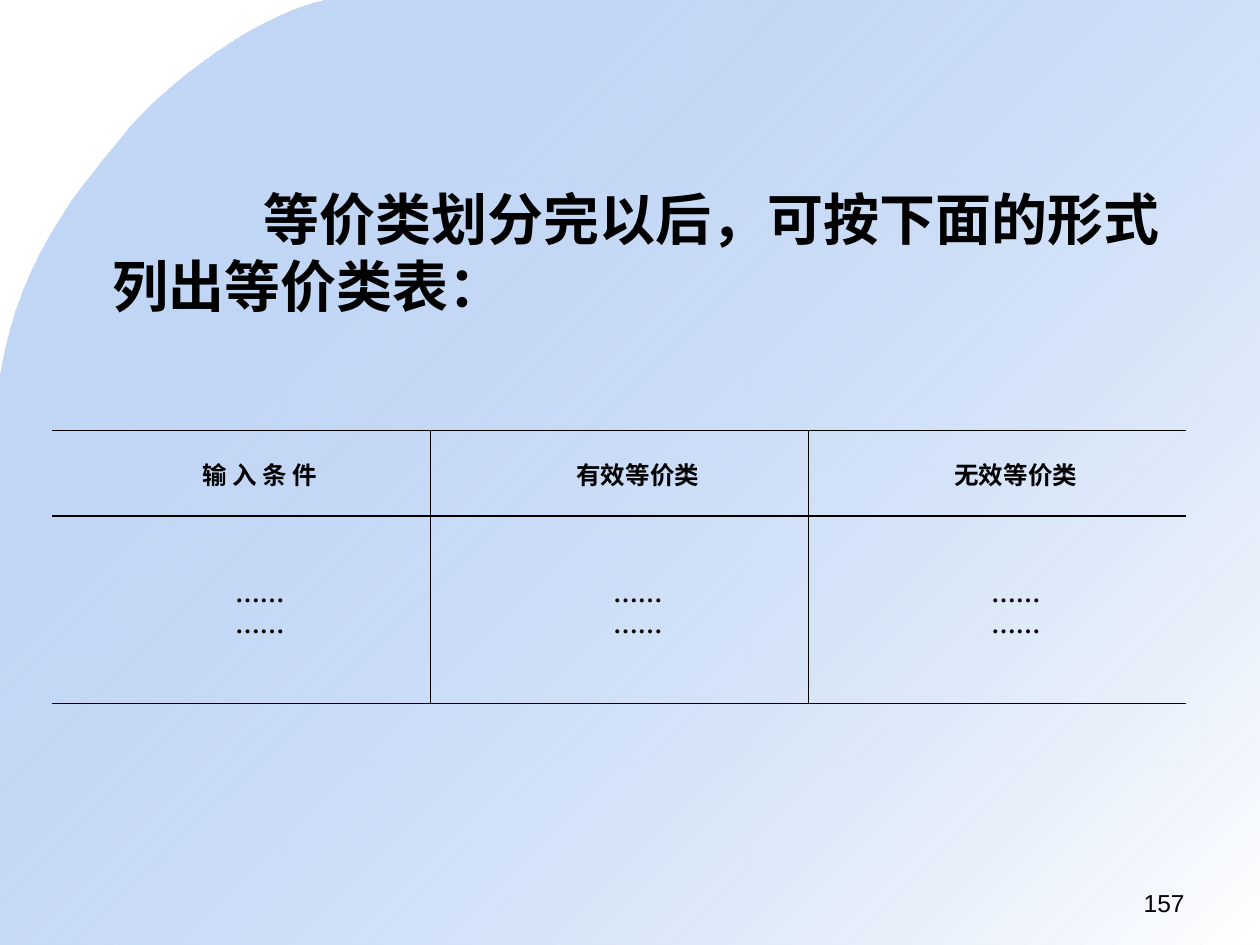
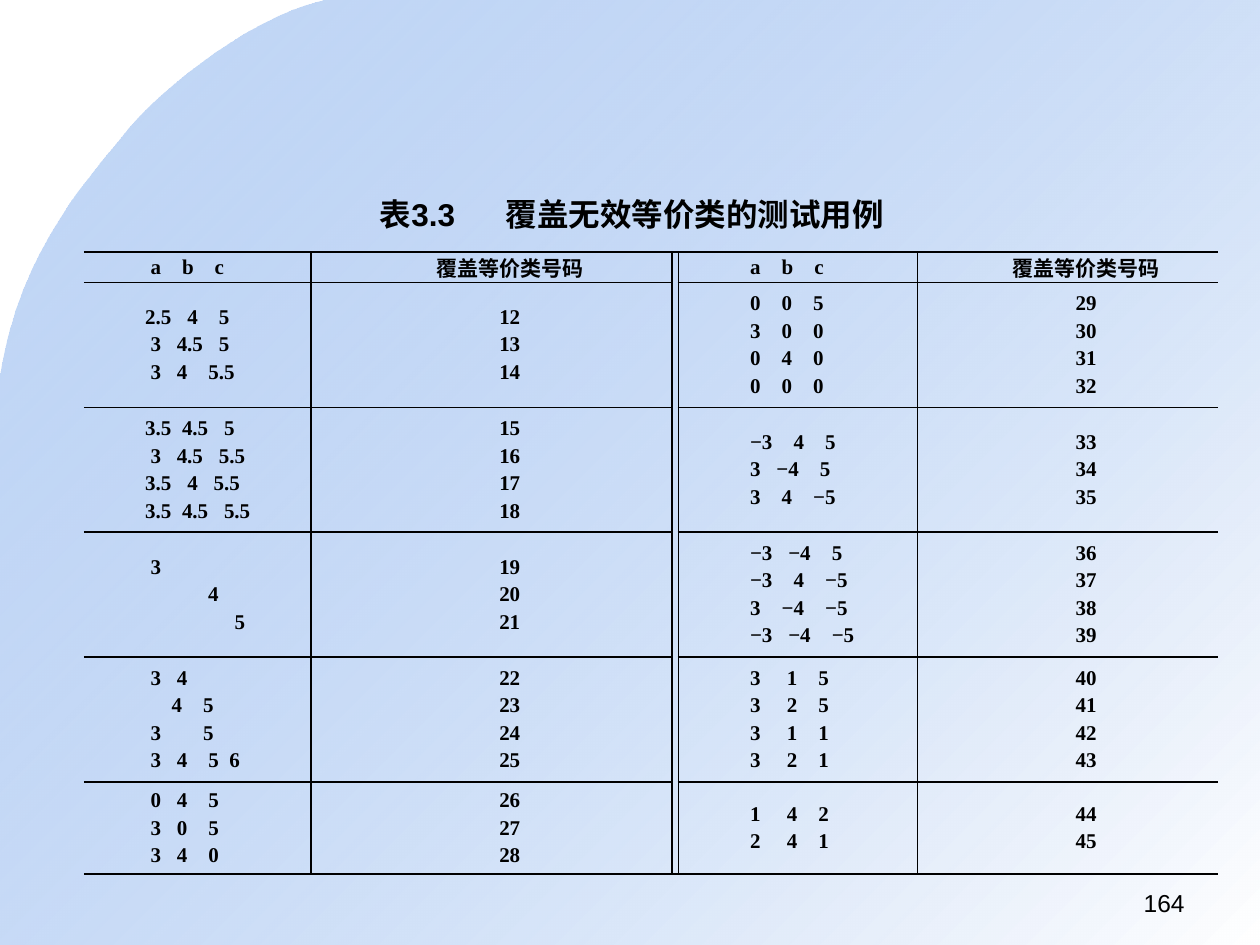
from itertools import pairwise
from lxml import etree
from pptx import Presentation
from pptx import util as u
from pptx.dml.color import RGBColor
from pptx.enum import text
from pptx.oxml import ns

BLACK = RGBColor(0, 0, 0)
BLUE = RGBColor(0x69, 0x9D, 0xE9)
WHITE = RGBColor(255, 255, 255)
SANS, SERIF = "Arial", "Times New Roman"
UNIT = u.Inches(1) // 12
WIDE, HIGH = 120, 90
INDENT = 3.5
STEP = 0.5
STEP_SPC = 300
ALIGN = text.PP_ALIGN
CURVE = [
    [(31, 0), (22.8, 1.9), (13.9, 10), (11.8, 12.9)],
    [(11.8, 12.9), (9.6, 15.8), (1.9, 23.3), (0, 36.1)],
]

TRIPLES_LEFT = [
    ["4:a 4:b 4:c"],
    ["3:2.5 3:4 4:5", "4:3 3:4.5 3:5", "4:3 3:4 4:5.5"],
    ["3:3.5 2:4.5 3:5", "4:3 3:4.5 3:5.5", "3:3.5 3:4 3:5.5", "3:3.5 2:4.5 3:5.5"],
    ["4:3", "15:4", "20:5"],
    ["4:3 3:4", "8:4 4:5", "4:3 8:5", "4:3 3:4 4:5 2:6"],
    ["4:0 3:4 4:5", "4:3 3:0 4:5", "4:3 3:4 4:0"],
]
TRIPLES_RIGHT = [
    ["5:a 4:b 4:c"],
    ["5:0 4:0 4:5", "5:3 4:0 4:0", "5:0 4:4 4:0", "5:0 4:0 4:0"],
    ["5:−3 4:4 4:5", "5:3 3:−4 4:5", "5:3 4:4 4:−5"],
    ["5:−3 3:−4 4:5", "5:−3 4:4 4:−5", "5:3 4:−4 4:−5", "5:−3 3:−4 4:−5"],
    ["5:3 5:1 4:5", "5:3 5:2 4:5", "5:3 5:1 4:1", "5:3 5:2 4:1"],
    ["5:1 5:4 4:2", "5:2 5:4 4:1"],
]
STARTS_LEFT = [12, 15, 19, 22, 26, 29]
STARTS_RIGHT = [29, 33, 36, 40, 44, 46]


def grid(*cells):
    return [round(c * UNIT) for c in cells]


def add(node, tag, **attrs):
    return etree.SubElement(node, ns.qn(tag), {k: str(v) for k, v in attrs.items()})


def indent(par, first, left=0):
    props = par._p.get_or_add_pPr()
    left, first = grid(left, first)
    props.set("marL", str(left))
    props.set("indent", str(first))


def split(line):
    pairs = [part.split(":") for part in line.split()]
    lead = int(pairs[0][0])
    parts = [(pairs[0][1], 0)]
    for gap, word in pairs[1:]:
        parts += [(" ", (int(gap) - 1) * STEP_SPC), (word, 0)]
    return lead, parts


def write(frame, lines, size=14, font=SANS, bold=False, align=ALIGN.LEFT,
          first=0, left=0, gap=0, spaced=False):
    for i, line in enumerate(lines):
        par = frame.add_paragraph() if i else frame.paragraphs[0]
        lead, parts = split(line) if spaced else (0, [(line, 0)])
        indent(par, first + lead * STEP, left)
        par.alignment = align
        par.space_before = u.Pt(gap if i else 0)
        par.space_after = u.Pt(gap)
        for word, extra in parts:
            run = par.add_run()
            run.text = word
            run.font.size, run.font.name, run.font.bold = u.Pt(size), font, bold
            run.font.color.rgb = BLACK
            if extra:
                run._r.get_or_add_rPr().set("spc", str(extra))


def label(slide, box, line, wrap=True, **style):
    frame = slide.shapes.add_textbox(*grid(*box)).text_frame
    frame.word_wrap = wrap
    write(frame, [line], **style)


def bend(points, steps=16):
    for i in range(1, steps + 1):
        t = i / steps
        shares = [(1 - t) ** 3, 3 * t * (1 - t) ** 2, 3 * t * t * (1 - t), t ** 3]
        yield tuple(sum(s * p[axis] for s, p in zip(shares, points)) for axis in (0, 1))


def sweep(slide):
    edge = [p for arc in CURVE for p in bend(arc)]
    edge += [(0, HIGH), (WIDE, HIGH), (WIDE, 0)]
    pen = slide.shapes.build_freeform(*grid(*CURVE[0][0]), scale=1.0)
    pen.add_line_segments([grid(*p) for p in edge], close=True)
    shape = pen.convert_to_shape()
    shape.shadow.inherit = False
    shape.line.fill.background()
    shape.fill.gradient()
    fill = shape._element.spPr.find(ns.qn("a:gradFill"))
    for child in list(fill):
        fill.remove(child)
    stops = add(fill, "a:gsLst")
    for pos, color, alpha in [(0, BLUE, 39000), (100000, WHITE, 100000)]:
        tint = add(add(stops, "a:gs", pos=pos), "a:srgbClr", val=color)
        add(tint, "a:alpha", val=alpha)
    add(fill, "a:lin", ang=45 * 60000, scaled=0)


def rule(cell, sides):
    props = cell._tc.get_or_add_tcPr()
    for i, side in enumerate("LRTB"):
        line = etree.Element(ns.qn("a:ln" + side), w=str(u.Pt(1)))
        if side in sides:
            add(add(line, "a:solidFill"), "a:srgbClr", val=BLACK)
        else:
            add(line, "a:noFill")
        props.insert(i, line)


def table(slide, at, cols, rows):
    box = grid(*at, sum(cols), sum(rows))
    tab = slide.shapes.add_table(len(rows), len(cols), *box).table
    tab.first_row = tab.horz_banding = False
    for col, size in zip(tab.columns, grid(*cols)):
        col.width = size
    for row, size in zip(tab.rows, grid(*rows)):
        row.height = size
        for c, cell in enumerate(row.cells):
            cell.fill.background()
            cell.vertical_anchor = text.MSO_ANCHOR.MIDDLE
            side = u.Inches(0.07) if cols[c] > 1 else 0
            cell.margin_left = cell.margin_right = side
            cell.margin_top = cell.margin_bottom = 0
            rule(cell, "TB" + "L" * (c > 0) + "R" * (c < len(cols) - 1))
    return tab


def fill(tab, r, c, lines, size, spaced=False):
    write(tab.cell(r, c).text_frame, lines, size=size, font=SERIF, bold=True, gap=1.2,
          first=INDENT, align=ALIGN.LEFT if spaced else ALIGN.CENTER, spaced=spaced)


def page(deck, number):
    slide = deck.slides.add_slide(deck.slide_layouts[6])
    sweep(slide)
    label(slide, (86, 84, 28, 4.2), number, align=ALIGN.RIGHT)
    return slide


def form(deck):
    slide = page(deck, "157")
    label(slide, (5, 17, 109, 65), "等价类划分完以后，可按下面的形式列出等价类表：",
          size=32, bold=True, first=14.4, left=4.5)
    tab = table(slide, (5, 41), [36] * 3, [8.15, 17.85])
    for c, head in enumerate(["输 入 条 件", "有效等价类", "无效等价类"]):
        fill(tab, 0, c, [head], 14)
        fill(tab, 1, c, ["……"] * 2, 14)


def cases(deck):
    slide = page(deck, "164")
    label(slide, (35, 18, 51, 4.8), "表3.3\t覆盖无效等价类的测试用例",
          wrap=False, size=18, bold=True)
    tab = table(slide, (8, 24), [21.6, 34.4, 0.6, 22.8, 28.6], [2.9] + [11.9] * 4 + [8.75])
    tab.cell(0, 2).merge(tab.cell(5, 2))
    halves = [(0, TRIPLES_LEFT, STARTS_LEFT), (3, TRIPLES_RIGHT, STARTS_RIGHT)]
    for c, triples, starts in halves:
        codes = [["覆盖等价类号码"]]
        codes += [[str(n) for n in range(*ends)] for ends in pairwise(starts)]
        for r, (lines, nums) in enumerate(zip(triples, codes)):
            fill(tab, r, c, lines, 12, spaced=True)
            fill(tab, r, c + 1, nums, 12)


def main():
    deck = Presentation()
    deck.slide_width, deck.slide_height = grid(WIDE, HIGH)
    form(deck)
    cases(deck)
    deck.save("out.pptx")


if __name__ == "__main__":
    main()
